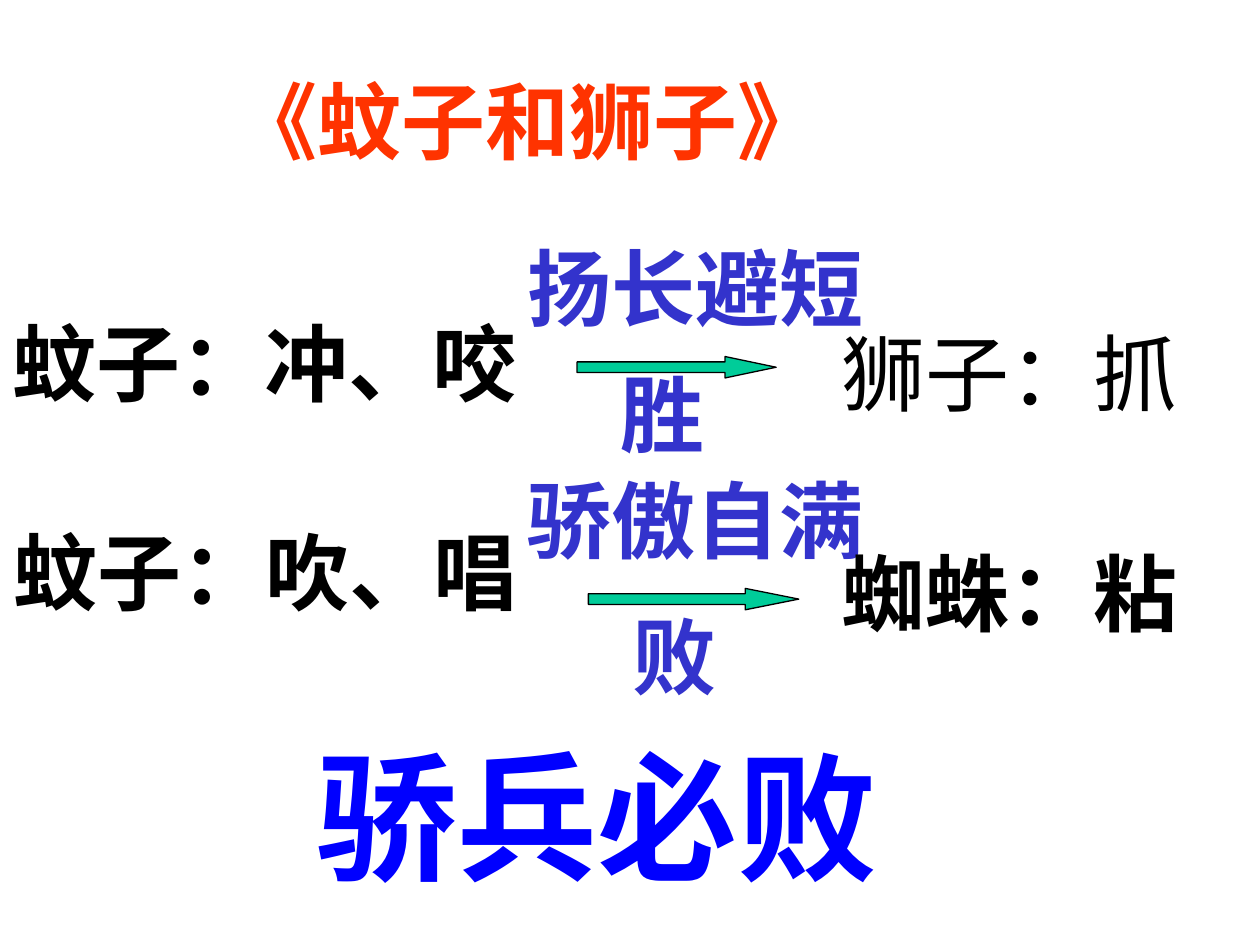
from pptx import Presentation
from pptx.dml.color import RGBColor
from pptx.enum.shapes import MSO_SHAPE
from pptx.enum.text import MSO_ANCHOR, MSO_AUTO_SIZE, PP_ALIGN
from pptx.util import Inches, Pt

COLORS = {
    "title": "FF3300",
    "character": "000000",
    "reason": "3333CC",
    "moral": "0000FF",
    "arrow": "00CC99",
    "outline": "000000",
}


def format_text(box, text, color, size=48, bold=True, wrap=True):
    frame = box.text_frame
    frame.text = text
    frame.word_wrap = wrap
    frame.auto_size = MSO_AUTO_SIZE.SHAPE_TO_FIT_TEXT
    frame.vertical_anchor = MSO_ANCHOR.TOP
    para = frame.paragraphs[0]
    para.alignment = PP_ALIGN.LEFT
    font = para.runs[0].font
    font.name = "Times New Roman"
    font.size = Pt(size)
    font.bold = bold
    font.color.rgb = RGBColor.from_string(COLORS[color])


deck = Presentation()
deck.slide_width = Inches(10)
deck.slide_height = Inches(7.5)
slide = deck.slides.add_slide(deck.slide_layouts[5])

title = slide.shapes.title
title.left, title.top = Inches(1.75), Inches(0.5)
title.width, title.height = Inches(5.53), Inches(0.9)
format_text(title, "《蚊子和狮子》", "title")

# text, left, top, width, color, bold, wrap
labels = [
    ("蚊子：冲、咬", 0, 2.42, 4.83, "character", True, True),
    ("扬长避短", 4.09, 1.83, 2.9, "reason", True, False),
    ("胜", 4.83, 2.83, 1, "reason", True, True),
    ("狮子：抓", 6.58, 2.5, 3.42, "character", False, True),
    ("蚊子：吹、唱", 0.01, 4.08, 4.22, "character", True, False),
    ("骄傲自满", 4.09, 3.67, 2.9, "reason", True, False),
    ("败", 4.92, 4.75, 0.75, "reason", True, True),
    ("蜘蛛：粘", 6.58, 4.25, 3.08, "character", True, True),
]
for text, left, top, width, color, bold, wrap in labels:
    box = slide.shapes.add_textbox(
        Inches(left), Inches(top), Inches(width), Inches(0.9))
    format_text(box, text, color, bold=bold, wrap=wrap)

moral = slide.shapes.add_textbox(
    Inches(2.42), Inches(5.75), Inches(4.92), Inches(1.44))
format_text(moral, "骄兵必败", "moral", size=80)

# left, top, width, head length relative to height
for left, top, width, head in [(4.58, 2.83, 1.58, 2.38), (4.67, 4.67, 1.67, 2.5)]:
    arrow = slide.shapes.add_shape(
        MSO_SHAPE.RIGHT_ARROW,
        Inches(left), Inches(top), Inches(width), Inches(0.17))
    arrow.adjustments[0] = 0.5
    arrow.adjustments[1] = head
    arrow.shadow.inherit = False
    arrow.fill.solid()
    arrow.fill.fore_color.rgb = RGBColor.from_string(COLORS["arrow"])
    arrow.line.color.rgb = RGBColor.from_string(COLORS["outline"])
    arrow.line.width = Pt(0.75)

deck.save("out.pptx")
